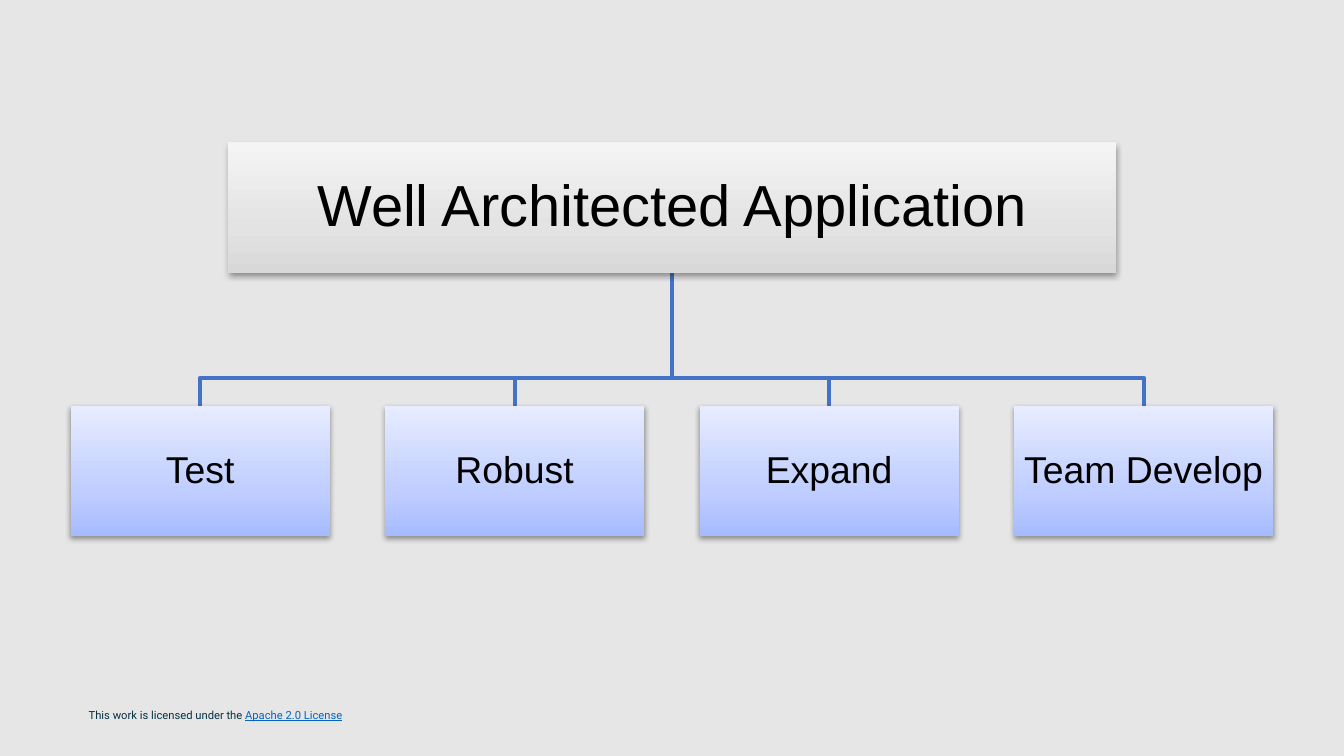
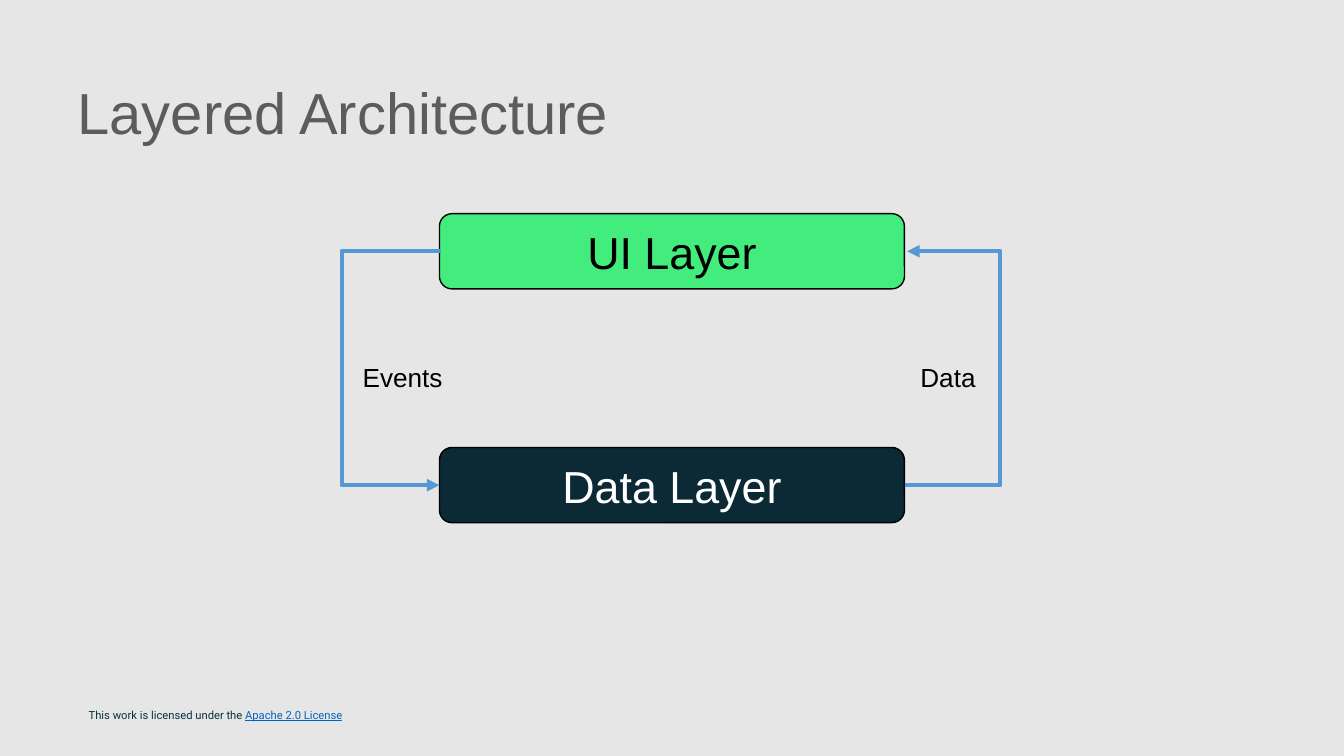
from dataclasses import dataclass

from lxml import etree
from pptx import Presentation
from pptx.dml.color import RGBColor
from pptx.enum.shapes import MSO_CONNECTOR, MSO_SHAPE
from pptx.enum.text import MSO_ANCHOR, PP_ALIGN
from pptx.oxml.ns import qn
from pptx.shapes.base import BaseShape
from pptx.slide import Slide
from pptx.util import Inches, Length, Pt

RECTANGLE = MSO_SHAPE.RECTANGLE
ROUNDED = MSO_SHAPE.ROUNDED_RECTANGLE
ELBOW = MSO_CONNECTOR.ELBOW
TOP, MIDDLE = MSO_ANCHOR.TOP, MSO_ANCHOR.MIDDLE
LEFT, CENTER = PP_ALIGN.LEFT, PP_ALIGN.CENTER

# Square grid: ten cells to the inch
COLUMNS, ROWS = 100, 56.25
CELL = Inches(0.1)
MIDDLE_COLUMN = COLUMNS / 2

Gradient = tuple[tuple[int, str], ...]


@dataclass(frozen=True)
class Theme:
    background: str = "E7E6E6"
    title: str = "5C5C5C"
    dark_text: str = "000000"
    light_text: str = "FFFFFF"
    license: str = "073042"
    link: str = "0563C1"
    branch: str = "4472C4"
    flow: str = "5698D3"
    ui_fill: str = "43ED7D"
    data_fill: str = "0B2A35"
    root_fill: Gradient = ((0, "D8D8D8"), (35, "E3E3E3"), (100, "F4F4F4"))
    leaf_fill: Gradient = ((0, "A6BBFF"), (35, "C0CEFF"), (100, "E7ECFF"))
    font: str = "Arial"
    license_font: str = "Roboto"
    title_size: float = 31
    layer_size: float = 24
    leaf_size: float = 20
    label_size: float = 14
    license_size: float = 6


THEME = Theme()


@dataclass(frozen=True)
class Area:
    """A rectangle in grid cells."""
    left: float
    top: float
    width: float
    height: float

    @property
    def center(self) -> float:
        return self.left + self.width / 2

    @property
    def right(self) -> float:
        return self.left + self.width

    @property
    def bottom(self) -> float:
        return self.top + self.height

    @property
    def middle(self) -> float:
        return self.top + self.height / 2

    def lengths(self) -> list[Length]:
        return [cells(n) for n in (self.left, self.top, self.width, self.height)]


@dataclass(frozen=True)
class Span:
    text: str
    size: float
    color: str = THEME.dark_text
    font: str = THEME.font
    underline: bool = False


@dataclass(frozen=True)
class Layer:
    area: Area
    fill: str
    label: Span


@dataclass(frozen=True)
class Flow:
    """An arrow between layers; bend is its signed sideways reach."""
    start: tuple[float, float]
    end: tuple[float, float]
    bend: float


def cells(count: float) -> Length:
    return Length(round(count * CELL))


def rgb(value: str) -> RGBColor:
    return RGBColor.from_string(value)


# Text
def write(box: BaseShape, spans: list[Span], align: PP_ALIGN = LEFT,
          anchor: MSO_ANCHOR = TOP, inset: float | None = None,
          spacing: float | None = None) -> None:
    frame = box.text_frame
    frame.word_wrap = True
    frame.vertical_anchor = anchor
    if inset is not None:
        frame.margin_left = frame.margin_right = cells(inset)
        frame.margin_top = frame.margin_bottom = cells(inset)
    para = frame.paragraphs[0]
    para.alignment = align
    if spacing is not None:
        para.line_spacing = spacing
    for span in spans:
        run = para.add_run()
        run.text = span.text
        run.font.name = span.font
        run.font.size = Pt(span.size)
        run.font.color.rgb = rgb(span.color)
        if span.underline:
            run.font.underline = True


def add_text(page: Slide, area: Area, spans: list[Span],
             inset: float | None = None, spacing: float | None = None) -> None:
    write(page.shapes.add_textbox(*area.lengths()), spans, inset=inset, spacing=spacing)


# Gradient and shadow effects
def add_color(parent: etree._Element, value: str) -> etree._Element:
    return etree.SubElement(parent, qn("a:srgbClr"), val=value)


def fill_gradient(box: BaseShape, stops: Gradient) -> None:
    box.fill.gradient()
    box.fill.gradient_angle = 90
    stop_list = box.element.spPr.find(".//" + qn("a:gsLst"))
    for old_stop in list(stop_list):
        stop_list.remove(old_stop)
    for percent, color in stops:
        add_color(etree.SubElement(stop_list, qn("a:gs"), pos=str(percent * 1000)), color)


def cast_shadow(box: BaseShape) -> None:
    box.shadow.inherit = False
    effects = box.element.spPr.find(qn("a:effectLst"))
    shadow = etree.SubElement(effects, qn("a:outerShdw"), blurRad=str(Pt(3.1)),
                              dist=str(Pt(1.6)), dir="5400000", rotWithShape="0")
    etree.SubElement(add_color(shadow, "000000"), qn("a:alpha"), val="38000")


# Organisation chart parts
def add_node(page: Slide, area: Area, fill: Gradient, label: Span, inset: float) -> None:
    box = page.shapes.add_shape(RECTANGLE, *area.lengths())
    fill_gradient(box, fill)
    box.line.fill.background()
    cast_shadow(box)
    write(box, [label], CENTER, MIDDLE, inset, 0.9)


def add_branch(page: Slide, root: Area, leaf: Area, turn_row: float) -> None:
    points = [(root.center, root.bottom), (root.center, turn_row),
              (leaf.center, turn_row), (leaf.center, leaf.top)]
    start, *rest = [(cells(x), cells(y)) for x, y in points]
    builder = page.shapes.build_freeform(*start)
    builder.add_line_segments(rest, close=False)
    branch = builder.convert_to_shape()
    branch.fill.background()
    branch.line.color.rgb = rgb(THEME.branch)
    branch.line.width = Pt(2)
    branch.shadow.inherit = False


# Layer diagram parts
def add_layer(page: Slide, layer: Layer) -> None:
    box = page.shapes.add_shape(ROUNDED, *layer.area.lengths())
    box.fill.solid()
    box.fill.fore_color.rgb = rgb(layer.fill)
    box.line.color.rgb = rgb(THEME.dark_text)
    box.line.width = Pt(0.75)
    box.shadow.inherit = False
    write(box, [layer.label], CENTER, MIDDLE)


def add_flow(page: Slide, flow: Flow) -> None:
    ends = [cells(n) for n in (*flow.start, *flow.end)]
    arrow = page.shapes.add_connector(ELBOW, *ends)
    arrow.line.color.rgb = rgb(THEME.flow)
    arrow.line.width = Pt(2.25)
    properties = arrow.element.spPr
    ratio = flow.bend / (flow.end[0] - flow.start[0])
    guides = properties.find(".//" + qn("a:avLst"))
    etree.SubElement(guides, qn("a:gd"), name="adj1", fmla=f"val {round(ratio * 100000)}")
    etree.SubElement(properties.find(qn("a:ln")), qn("a:tailEnd"), type="triangle")
    etree.SubElement(properties, qn("a:effectLst"))


# Shared page: background and license line
def add_page(deck: Presentation) -> Slide:
    page = deck.slides.add_slide(deck.slide_layouts[6])
    page.background.fill.solid()
    page.background.fill.fore_color.rgb = rgb(THEME.background)
    size, font = THEME.license_size, THEME.license_font
    add_text(page, Area(6, 51.7, 27.4, 1.7), [
        Span("This work is licensed under the ", size, THEME.license, font),
        Span("Apache 2.0 License", size, THEME.link, font, underline=True),
    ], inset=0.6, spacing=1.4)
    return page


def draw_qualities(page: Slide) -> None:
    names = ["Test", "Robust", "Expand", "Team Develop"]
    width, height, pitch = 19.3, 9.7, 23.4
    root = Area(MIDDLE_COLUMN - 33.05, 10.6, 66.1, height)
    first_left = MIDDLE_COLUMN - (pitch * (len(names) - 1) + width) / 2
    leaves = [Area(first_left + i * pitch, 30.2, width, height) for i in range(len(names))]
    for leaf in reversed(leaves):
        add_branch(page, root, leaf, turn_row=28.1)
    add_node(page, root, THEME.root_fill,
             Span("Well Architected Application", THEME.title_size), 0.2)
    for leaf, name in zip(leaves, names):
        add_node(page, leaf, THEME.leaf_fill, Span(name, THEME.leaf_size), 0.1)


def draw_layers(page: Slide) -> None:
    ui = Area(MIDDLE_COLUMN - 17.3, 15.9, 34.6, 5.6)
    data = Area(ui.left, 33.3, ui.width, ui.height)
    size = THEME.layer_size
    for layer in (Layer(ui, THEME.ui_fill, Span("UI Layer", size)),
                  Layer(data, THEME.data_fill, Span("Data Layer", size, THEME.light_text))):
        add_layer(page, layer)
    add_text(page, Area(4.8, 4.7, 90.4, 5.4),
             [Span("Layered Architecture", THEME.title_size, THEME.title)], inset=1)
    for flow in (Flow((ui.left + 0.1, ui.middle), (data.left, data.middle), -7.5),
                 Flow((data.right, data.middle), (ui.right + 0.2, ui.middle), 7.1)):
        add_flow(page, flow)
    for text, left in (("Events", 26), ("Data", 67.5)):
        add_text(page, Area(left, 26.4, 11.6, 3.4), [Span(text, THEME.label_size)])


def main() -> None:
    deck = Presentation()
    deck.slide_width, deck.slide_height = cells(COLUMNS), cells(ROWS)
    for draw in (draw_qualities, draw_layers):
        draw(add_page(deck))
    deck.save("out.pptx")


if __name__ == "__main__":
    main()
